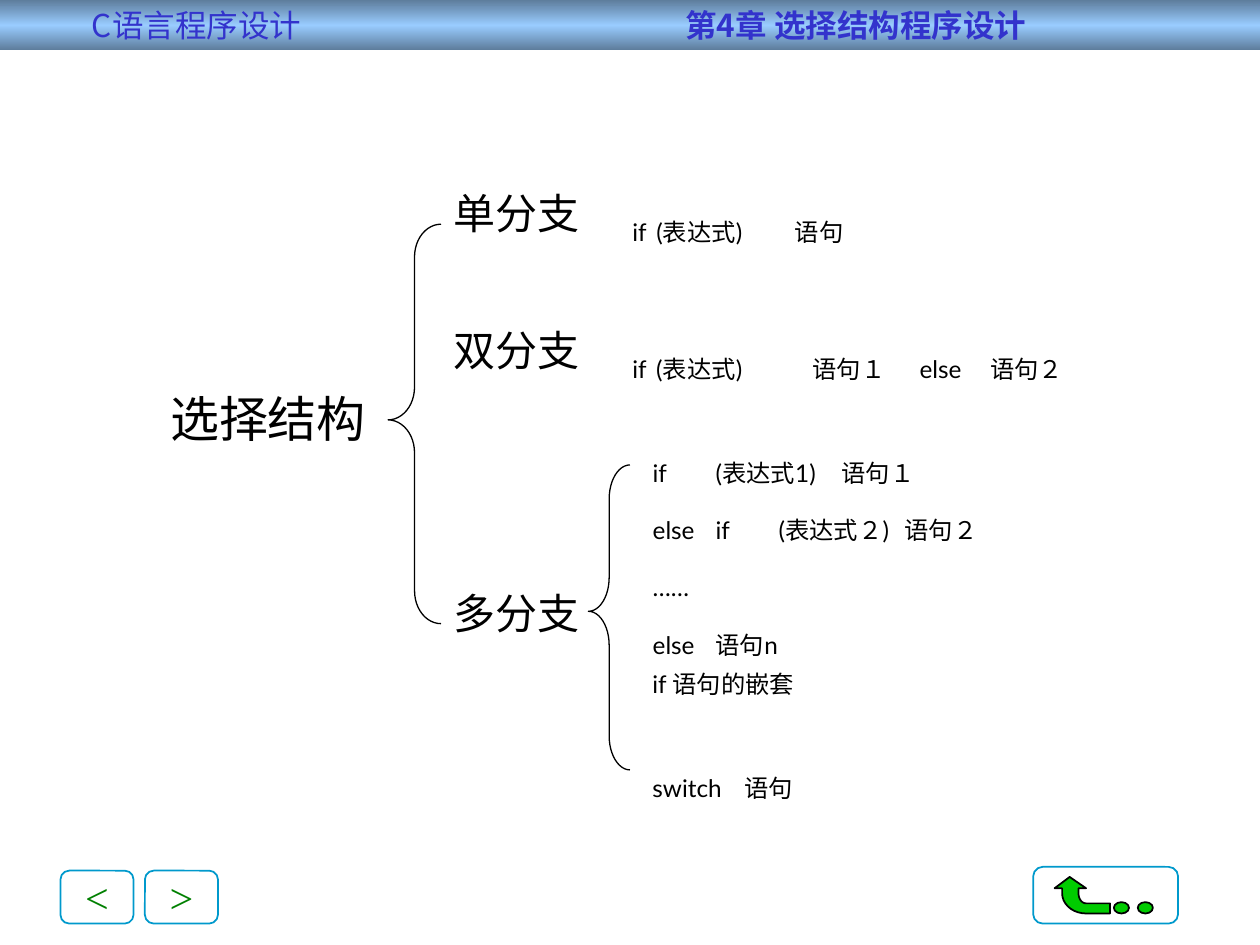
import copy
import math

import pptx
import pptx.dml.color
import pptx.enum.shapes
import pptx.enum.text
import pptx.oxml.ns
import pptx.util
from lxml import etree

Inches = pptx.util.Inches
Pt = pptx.util.Pt
SHAPE = pptx.enum.shapes.MSO_SHAPE
ALIGN = pptx.enum.text.PP_ALIGN
ANCHOR = pptx.enum.text.MSO_ANCHOR
qn = pptx.oxml.ns.qn

CJK_FONT = "Noto Sans CJK SC"
BLACK = "000000"
HEADING_BLUE = "3333CC"
BUTTON_BLUE = "0099CC"
ARROW_GREEN = "00CC00"


def color(value):
    return pptx.dml.color.RGBColor.from_string(value)


def add_run(paragraph, text, size, font, value=BLACK, bold=False, lowered=False):
    run = paragraph.add_run()
    run.text = text
    run.font.size = Pt(size)
    run.font.name = font
    run.font.bold = bold
    run.font.color.rgb = color(value)
    properties = run._r.get_or_add_rPr()
    etree.SubElement(properties, qn("a:ea"), typeface=CJK_FONT)
    if lowered:
        properties.set("baseline", "-25000")


def set_tabs(paragraph, stops):
    tabs = etree.SubElement(paragraph._p.get_or_add_pPr(), qn("a:tabLst"))
    for stop in stops:
        etree.SubElement(tabs, qn("a:tab"), pos=str(Inches(stop)), algn="l")


def place(shape, left, top, width, height):
    shape.left, shape.top = Inches(left), Inches(top)
    shape.width, shape.height = Inches(width), Inches(height)


def prepare_frame(frame):
    frame.word_wrap = True
    frame.auto_size = pptx.enum.text.MSO_AUTO_SIZE.NONE
    frame.vertical_anchor = ANCHOR.TOP


def add_outline(shapes, kind, left, top, width, height, line, weight=1, fill=None):
    shape = shapes.add_shape(kind, Inches(left), Inches(top), Inches(width), Inches(height))
    finish_outline(shape, line, weight, fill)
    return shape


def finish_outline(shape, line, weight, fill):
    shape.shadow.inherit = False
    if fill:
        shape.fill.solid()
        shape.fill.fore_color.rgb = color(fill)
    else:
        shape.fill.background()
    shape.line.color.rgb = color(line)
    shape.line.width = Pt(weight)


def add_header(slide, left, top, width, height):
    banner = slide.shapes.add_shape(
        SHAPE.RECTANGLE, Inches(left), Inches(top), Inches(width), Inches(height))
    banner.shadow.inherit = False
    banner.line.fill.background()
    banner.fill.gradient()
    banner.fill.gradient_angle = 270
    stop_list = banner._element.spPr.find(".//" + qn("a:gsLst"))
    stop_list.append(copy.deepcopy(stop_list[0]))
    shades = [(0, "5D7C9B"), (0.5, "99CCFF"), (1, "5D7C9B")]
    for stop, (position, shade) in zip(banner.fill.gradient_stops, shades):
        stop.position = position
        stop.color.rgb = color(shade)
    frame = banner.text_frame
    prepare_frame(frame)
    frame.vertical_anchor = ANCHOR.MIDDLE
    frame.margin_left = Inches(0.73)
    frame.margin_top = frame.margin_bottom = 0
    heading = frame.paragraphs[0]
    heading.alignment = ALIGN.LEFT
    set_tabs(heading, [4.71])
    add_run(heading, "C语言程序设计\t", 18, CJK_FONT, HEADING_BLUE)
    add_run(heading, "第4章 选择结构程序设计", 18, CJK_FONT, HEADING_BLUE, bold=True)


def add_navigation(slide, left, top, width, height):
    button_width = 0.58
    for symbol, offset in [("<", 0), (">", width - button_width)]:
        button = add_outline(slide.shapes, SHAPE.ROUNDED_RECTANGLE,
                             left + offset, top, button_width, height, BUTTON_BLUE)
        frame = button.text_frame
        frame.word_wrap = False
        frame.vertical_anchor = ANCHOR.MIDDLE
        frame.paragraphs[0].alignment = ALIGN.CENTER
        add_run(frame.paragraphs[0], symbol, 24, "Times New Roman", "008000")


def add_return_button(slide, left, top, width, height):
    add_outline(slide.shapes, SHAPE.ROUNDED_RECTANGLE, left, top, width, height, BUTTON_BLUE)
    symbol = slide.shapes.add_group_shape().shapes
    bend_x, bend_y = 0.42, 0.21

    def bend(radius_x, radius_y, angles):
        return [(bend_x - radius_x * math.cos(math.radians(angle)),
                 bend_y + radius_y * math.sin(math.radians(angle))) for angle in angles]

    outline = [(0.29, 0.08), (0.17, 0.17), (0.23, 0.17)]
    outline += bend(0.19, 0.16, range(0, 91, 10))
    outline += [(0.61, 0.37), (0.61, 0.29)]
    outline += bend(0.06, 0.08, range(90, -1, -10))
    outline += [(0.36, 0.17), (0.42, 0.17)]
    points = [(Inches(left + x), Inches(top + y)) for x, y in outline]
    builder = symbol.build_freeform(*points[0])
    builder.add_line_segments(points[1:], close=True)
    finish_outline(builder.convert_to_shape(), BLACK, 1, ARROW_GREEN)
    for offset in (0.64, 0.83):
        add_outline(symbol, SHAPE.OVAL, left + offset, top + 0.28, 0.12, 0.09,
                    BLACK, fill=ARROW_GREEN)


def add_brace(slide, left, top, width, height, corner, middle):
    brace = add_outline(slide.shapes, SHAPE.LEFT_BRACE, left, top, width, height, BLACK, 0.75)
    brace.adjustments[0] = corner / width
    brace.adjustments[1] = middle


def add_text(slide, left, top, width, height):
    box = slide.shapes.add_textbox(Inches(left), Inches(top), Inches(width), Inches(height))
    prepare_frame(box.text_frame)
    return box.text_frame.paragraphs[0]


def add_syntax(slide, left, top, width, text, stops):
    syntax = add_text(slide, left, top, width, 0.56)
    set_tabs(syntax, stops)
    add_run(syntax, text, 24, "Lato", lowered=True)


def add_root(slide, left, top, width, height):
    root = slide.shapes.title
    place(root, left, top, width, height)
    prepare_frame(root.text_frame)
    root.text_frame.paragraphs[0].alignment = ALIGN.LEFT
    add_run(root.text_frame.paragraphs[0], "选择结构", 28, "Times New Roman")


def add_branches(slide, left, top):
    add_brace(slide, left, top + 0.34, 0.42, 3.17, 0.26, 0.49)
    for name, offset in [("单分支", 0), ("双分支", 1.09), ("多分支", 3.17)]:
        branch = add_text(slide, left + 0.42, top + offset, 1.58, 0.5)
        add_run(branch, name, 24, "Times New Roman")
    add_syntax(slide, left + 1.84, top + 0.01, 2.42, "if\t(表达式)\t语句", [0.19, 1.29])
    add_syntax(slide, left + 1.84, top + 1.1, 4.5,
               "if\t(表达式)\t语句１\telse\t语句２", [0.19, 1.43, 2.28, 2.84])


def add_multi_branch(slide, left, top):
    add_brace(slide, left, top + 0.33, 0.33, 2.42, 0.27, 0.48)
    chain = slide.placeholders[1]
    place(chain, left + 0.41, top, 3.67, 1.92)
    prepare_frame(chain.text_frame)
    lines = [
        ("if\t(表达式1)\t语句１", [0.19, 1.35]),
        ("else\tif\t(表达式２)\t语句２", [0.44, 0.63, 1.86]),
        ("……", []),
        ("else\t语句n", [0.52]),
    ]
    for index, (text, stops) in enumerate(lines):
        line = chain.text_frame.add_paragraph() if index else chain.text_frame.paragraphs[0]
        properties = line._p.get_or_add_pPr()
        properties.set("marL", "0")
        properties.set("indent", "0")
        etree.SubElement(properties, qn("a:buNone"))
        set_tabs(line, stops)
        line.space_before = Pt(0)
        add_run(line, text, 24, "Lato", lowered=True)
    add_syntax(slide, left + 0.41, top + 1.68, 3.67, "if 语句的嵌套", [])
    add_syntax(slide, left + 0.41, top + 2.5, 3.67, "switch\t语句", [0.73])


def main():
    deck = pptx.Presentation()
    deck.slide_width, deck.slide_height = Inches(10), Inches(7.5)
    slide = deck.slides.add_slide(deck.slide_layouts[1])
    add_header(slide, 0, 0, 10, 0.4)
    add_navigation(slide, 0.48, 6.91, 1.25, 0.42)
    add_return_button(slide, 8.2, 6.88, 1.15, 0.45)
    add_root(slide, 1.25, 3.03, 1.92, 0.57)
    add_branches(slide, 3.08, 1.44)
    add_multi_branch(slide, 4.67, 3.36)
    deck.save("out.pptx")


if __name__ == "__main__":
    main()
